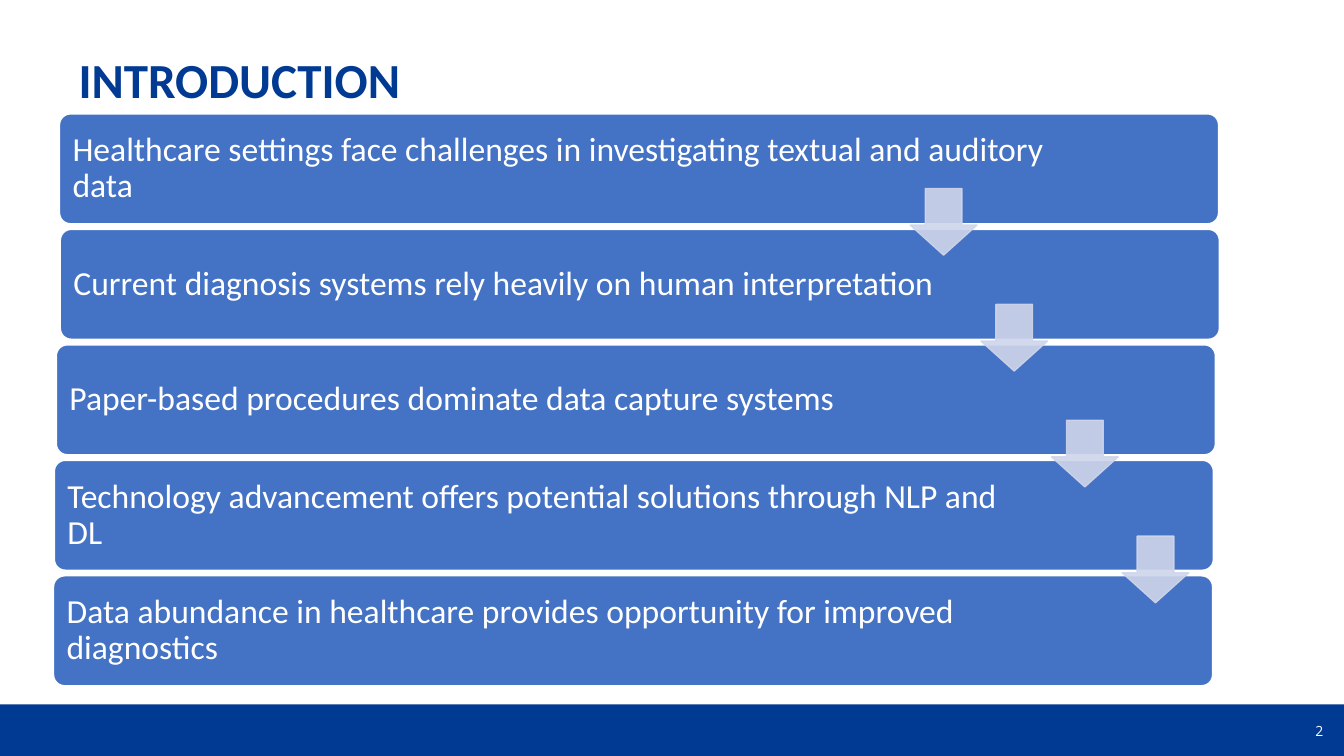
from lxml.etree import SubElement
from pptx import Presentation
from pptx.dml.color import RGBColor
from pptx.enum.shapes import MSO_SHAPE
from pptx.enum.text import MSO_ANCHOR, PP_ALIGN
from pptx.oxml.ns import qn
from pptx.util import Cm, Pt

NAVY, BLUE, PALE, WHITE = "003A92", "4472C4", "CFD5EA", "FFFFFF"
STEPS = [
    (1.5, 25.45, "Healthcare settings face challenges in investigating textual and auditory data"),
    (1.52, 24.82, "Current diagnosis systems rely heavily on human interpretation"),
    (1.42, 24.82, "Paper-based procedures dominate data capture systems"),
    (1.37, 24.82, "Technology advancement offers potential solutions through NLP and DL"),
    (1.35, 24.82, "Data abundance in healthcare provides opportunity for improved diagnostics"),
]


def paint(part, color, alpha=None):
    part.solid()
    part.fore_color.rgb = RGBColor.from_string(color)
    if alpha:
        tint = part._xPr.find(qn("a:solidFill"))[0]
        SubElement(tint, qn("a:alpha")).set("val", str(alpha * 1000))


class Deck:
    font = "Calibri"

    def __init__(self):
        self.show = Presentation()
        self.show.slide_width, self.show.slide_height = Cm(33.87), Cm(19.05)
        self.slide = self.show.slides.add_slide(self.show.slide_layouts[6])

    def shape(self, kind, left, top, width, height, fill, line=None, alpha=None, adjust=()):
        item = self.slide.shapes.add_shape(kind, Cm(left), Cm(top), Cm(width), Cm(height))
        item.shadow.inherit = False
        for index, value in enumerate(adjust):
            item.adjustments[index] = value
        paint(item.fill, fill, alpha)
        if line:
            item.line.width = Pt(1)
            paint(item.line.fill, line, alpha)
        else:
            item.line.fill.background()

    def text(self, words, left, top, width, height, size=24, color=WHITE, bold=False,
             font=None, align=PP_ALIGN.LEFT, anchor=MSO_ANCHOR.TOP, inset=None,
             spacing=None, after=None):
        box = self.slide.shapes.add_textbox(Cm(left), Cm(top), Cm(width), Cm(height))
        frame = box.text_frame
        frame.word_wrap = True
        frame.vertical_anchor = anchor
        if inset is not None:
            frame.margin_left = frame.margin_right = Cm(inset)
            frame.margin_top = frame.margin_bottom = Cm(inset)
        para = frame.paragraphs[0]
        para.alignment = align
        if spacing:
            para.line_spacing = spacing
        if after:
            para.space_after = Pt(after)
        run = para.add_run()
        run.text = words
        run.font.name = font or self.font
        run.font.size = Pt(size)
        run.font.bold = bold
        run.font.color.rgb = RGBColor.from_string(color)

    def step(self, row, left, width, words):
        top = 2.87 + 2.91 * row
        self.shape(MSO_SHAPE.ROUNDED_RECTANGLE, left, top, 29.21, 2.77, BLUE,
                   line=WHITE, adjust=[0.1])
        self.text(words, left + 0.08, top + 0.08, width, 2.61, anchor=MSO_ANCHOR.MIDDLE,
                  inset=0.25, spacing=0.9, after=8.4)

    def arrow(self, row):
        self.shape(MSO_SHAPE.DOWN_ARROW, 22.94 + 1.78 * row, 4.75 + 2.92 * row, 1.68, 1.68,
                   PALE, line=PALE, alpha=90, adjust=[0.55, 0.45])


def main():
    deck = Deck()
    deck.shape(MSO_SHAPE.RECTANGLE, 0, 17.75, 33.87, 1.3, NAVY)
    deck.text("2", 29.13, 18.08, 4.47, 0.71, size=10, font="Open Sans", align=PP_ALIGN.RIGHT)
    deck.text("INTRODUCTION", 1.73, 1.12, 23.37, 1.75, size=35, color=NAVY, bold=True)
    for row, (left, width, words) in enumerate(STEPS):
        deck.step(row, left, width, words)
    for row in range(len(STEPS) - 1):
        deck.arrow(row)
    deck.show.save("out.pptx")


if __name__ == "__main__":
    main()
